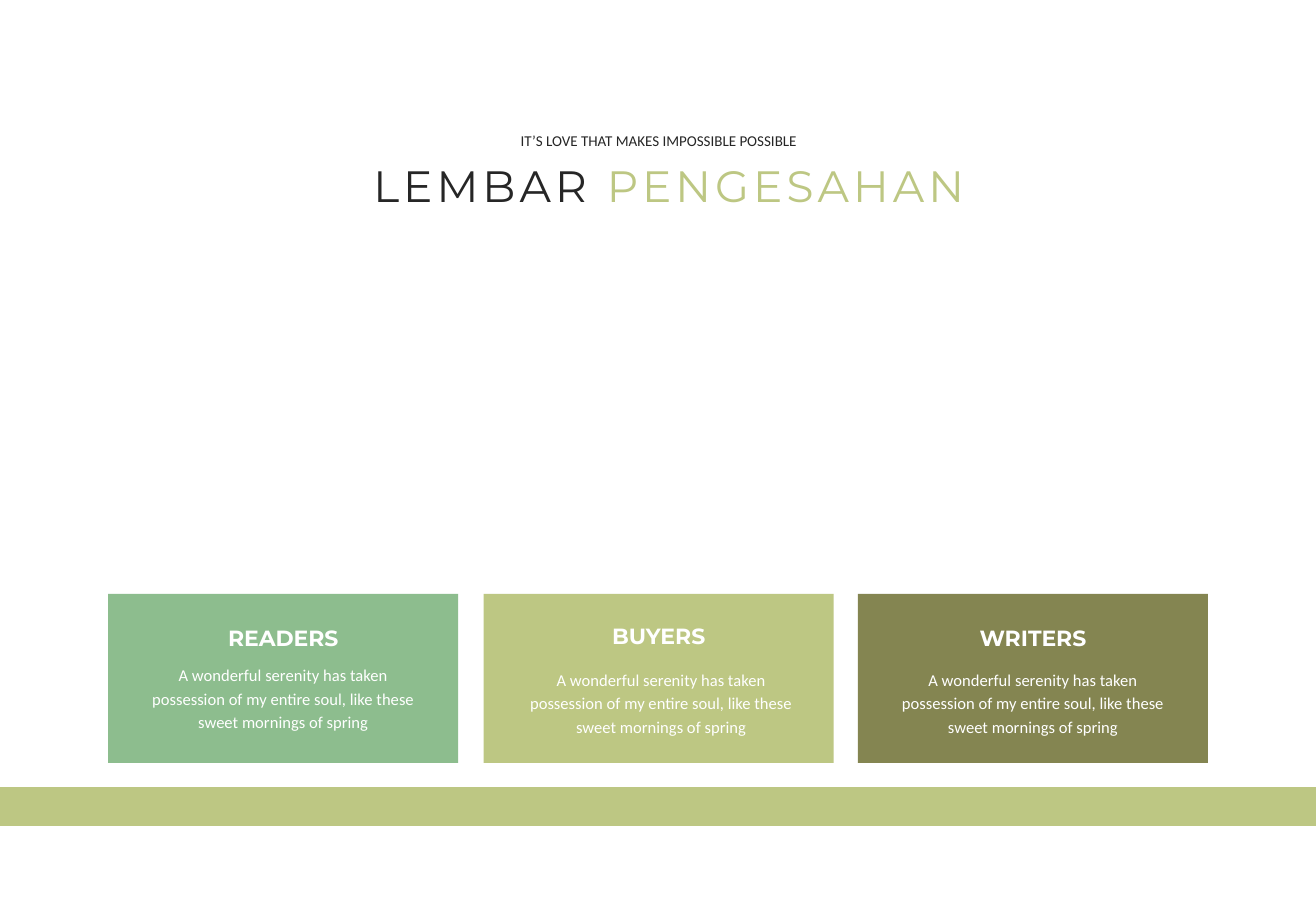
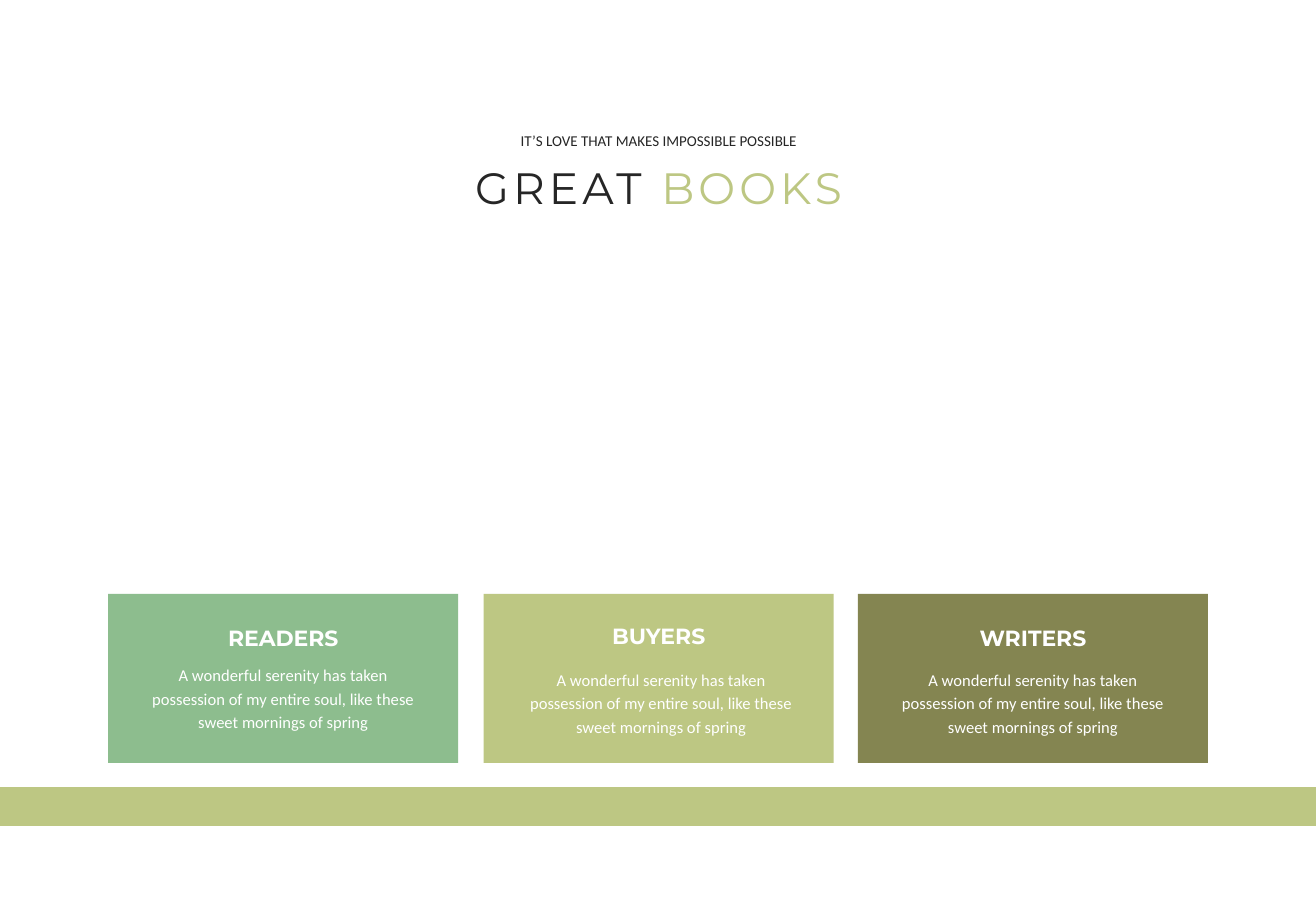
from pptx import Presentation
from pptx.dml.color import RGBColor
from pptx.enum.shapes import MSO_SHAPE
from pptx.enum.text import MSO_ANCHOR, MSO_AUTO_SIZE, PP_ALIGN
from pptx.util import Pt

RECTANGLE = MSO_SHAPE.RECTANGLE
CENTER = PP_ALIGN.CENTER
TOP = MSO_ANCHOR.TOP
GROW = MSO_AUTO_SIZE.SHAPE_TO_FIT_TEXT

# Lengths are px, 100 to the inch
PX = 9144
SLIDE_WIDTH, SLIDE_HEIGHT = 1083, 750

INK = RGBColor(0x26, 0x26, 0x26)
WHITE = RGBColor(0xFF, 0xFF, 0xFF)
LIME = RGBColor(0xBD, 0xC7, 0x83)
OLIVE = RGBColor(0x84, 0x85, 0x51)
GREEN = RGBColor(0x8D, 0xBD, 0x8E)

HEADING_FONT = "Montserrat"
BODY_FONT = "Calibri"

SUBTITLE = "IT’S LOVE THAT MAKES IMPOSSIBLE POSSIBLE"
CARD_TEXT = ("A wonderful serenity has taken possession of my entire soul, "
             "like these sweet mornings of spring")

# First word, second word, left, top, width of the title
TITLES = [
    ("LEMBAR ", "PENGESAHAN", 286, 126, 529),
    ("GREAT ", "BOOKS", 336, 127, 412),
]

# Heading, fill, heading top, text inset from the card edge, text top
CARDS = [
    ("READERS", GREEN, 509, 19, 539),
    ("BUYERS", LIME, 508, 21, 543),
    ("WRITERS", OLIVE, 509, 19, 543),
]
CARD_LEFT, CARD_TOP, CARD_WIDTH, CARD_HEIGHT = 89, 489, 288, 139
CARDS_RIGHT = 994
CARD_PITCH = (CARDS_RIGHT - CARD_LEFT - CARD_WIDTH) / (len(CARDS) - 1)


def add_rectangle(slide, left, top, width, height, color):
    shape = slide.shapes.add_shape(
        RECTANGLE, left * PX, top * PX, width * PX, height * PX)
    shape.shadow.inherit = False
    shape.fill.solid()
    shape.fill.fore_color.rgb = color
    shape.line.fill.background()


def write_line(shape, box, runs, font_name, size, bold=False, wrap=True):
    """Place a text shape and fill its centred paragraph with (text, color) runs."""
    shape.left, shape.top, shape.width, shape.height = [n * PX for n in box]
    frame = shape.text_frame
    frame.word_wrap = wrap
    frame.auto_size = GROW
    frame.vertical_anchor = TOP
    paragraph = frame.paragraphs[0]
    paragraph.alignment = CENTER
    for text, color in runs:
        run = paragraph.add_run()
        run.text = text
        run.font.name = font_name
        run.font.size = Pt(size)
        run.font.bold = bold
        run.font.color.rgb = color
    return paragraph


presentation = Presentation()
presentation.slide_width = SLIDE_WIDTH * PX
presentation.slide_height = SLIDE_HEIGHT * PX
title_only = presentation.slide_layouts[5]

for first, second, title_left, title_top, title_width in TITLES:
    slide = presentation.slides.add_slide(title_only)

    # Two-colour title with wide letter spacing
    title = write_line(slide.shapes.title, (title_left, title_top, title_width, 54),
                       [(first, INK), (second, LIME)], HEADING_FONT, 26)
    for run in title.runs:
        run.font._element.set("spc", "240")

    # Line above the title
    write_line(slide.shapes.add_textbox(0, 0, 0, 0), (416, 103, 252, 25),
               [(SUBTITLE, INK)], BODY_FONT, 8.9, wrap=False)

    # Band across the foot
    add_rectangle(slide, 0, 648, SLIDE_WIDTH, 32, LIME)

    # Row of cards
    for index, (heading, fill, heading_top, inset, text_top) in enumerate(CARDS):
        left = round(CARD_LEFT + index * CARD_PITCH)
        add_rectangle(slide, left, CARD_TOP, CARD_WIDTH, CARD_HEIGHT, fill)
        write_line(slide.shapes.add_textbox(0, 0, 0, 0),
                   (left + 28, heading_top, 232, 32),
                   [(heading, WHITE)], HEADING_FONT, 13, bold=True)
        body = write_line(slide.shapes.add_textbox(0, 0, 0, 0),
                          (left + inset, text_top, 250, 68),
                          [(CARD_TEXT, WHITE)], BODY_FONT, 9.8)
        body.line_spacing = 1.2

presentation.save("out.pptx")
